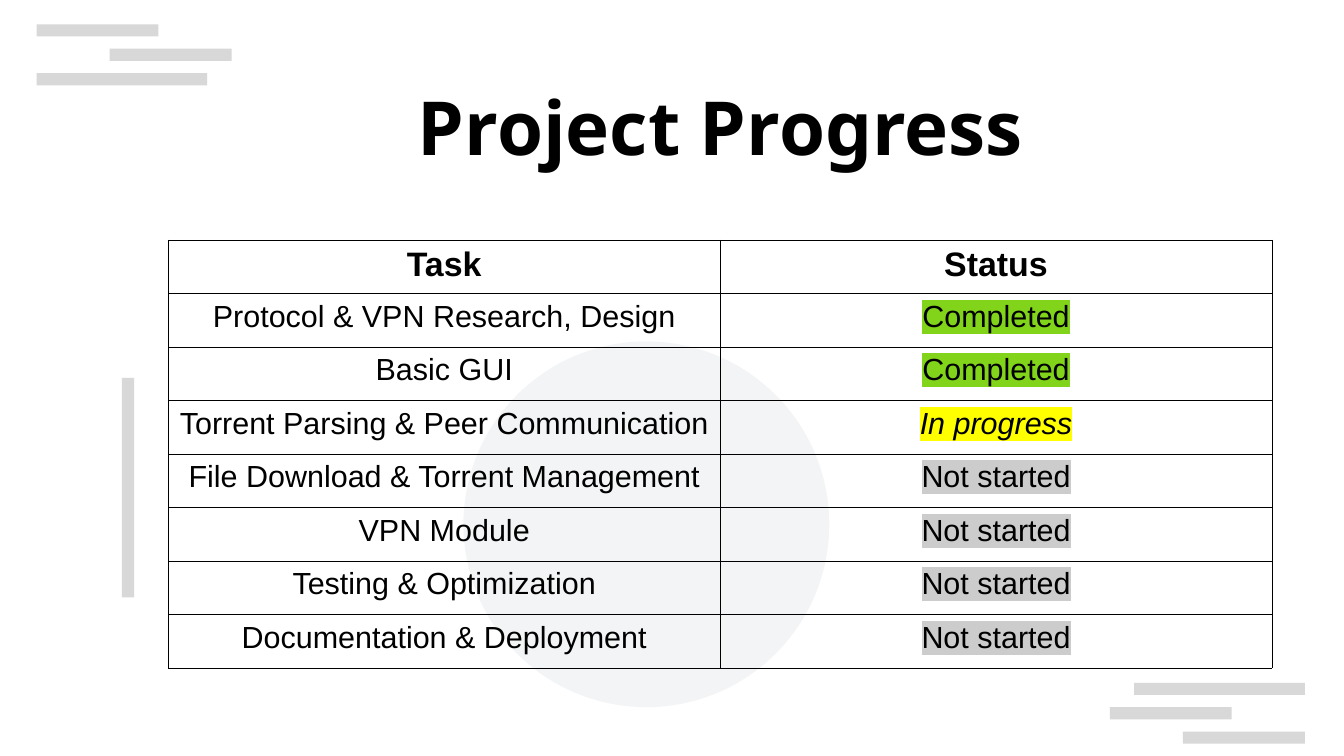
from pptx import Presentation
from pptx.dml.color import RGBColor
from pptx.enum.shapes import MSO_SHAPE
from pptx.enum.text import MSO_ANCHOR, PP_ALIGN
from pptx.oxml.ns import qn
from pptx.util import Pt
from lxml import etree

RECTANGLE, OVAL = MSO_SHAPE.RECTANGLE, MSO_SHAPE.OVAL
TOP, MIDDLE = MSO_ANCHOR.TOP, MSO_ANCHOR.MIDDLE
CENTER = PP_ALIGN.CENTER

BLACK = RGBColor(0x00, 0x00, 0x00)
GRAY = RGBColor(0xCC, 0xCC, 0xCC)
SLATE = RGBColor(0x8D, 0x99, 0xAE)
GREEN = RGBColor(0x81, 0xD4, 0x1A)
YELLOW = RGBColor(0xFF, 0xFF, 0x00)


def add_color(parent, tag, color):
    """Append a colour-bearing element and return it."""
    element = etree.SubElement(parent, qn(tag))
    etree.SubElement(element, qn("a:srgbClr"), val=str(color))
    return element


def write_text(frame, text, size=18, font="Arial", bold=False, italic=False, highlight=None):
    paragraph = frame.paragraphs[0]
    paragraph.alignment = CENTER
    run = paragraph.add_run()
    run.text = text
    run.font.size = Pt(size)
    run.font.bold = bold
    run.font.italic = italic
    run.font.color.rgb = BLACK
    run.font.name = font
    if highlight is not None:
        properties = run.font._element
        mark = add_color(properties, "a:highlight", highlight)
        properties.find(qn("a:solidFill")).addnext(mark)


presentation = Presentation()
presentation.slide_width = Pt(793.44)
presentation.slide_height = Pt(446.4)
slide = presentation.slides.add_slide(presentation.slide_layouts[6])

# Background decoration: kind, left, top, width, height, colour, opacity in percent
decorations = [
    (RECTANGLE, 669.6, 403.2, 100.8, 7.2, GRAY, 75),
    (RECTANGLE, 655.2, 417.6, 72, 7.2, GRAY, 75),
    (RECTANGLE, 698.4, 432, 72, 7.2, GRAY, 75),
    (RECTANGLE, 21.6, 14.4, 72, 7.2, GRAY, 75),
    (RECTANGLE, 64.8, 28.8, 72, 7.2, GRAY, 75),
    (RECTANGLE, 21.6, 43.2, 100.8, 7.2, GRAY, 75),
    (OVAL, 273.6, 201.6, 216, 216, SLATE, 10),
    (RECTANGLE, 72, 223.2, 7.2, 129.6, GRAY, 75),
]
for kind, left, top, width, height, color, opacity in decorations:
    shape = slide.shapes.add_shape(kind, Pt(left), Pt(top), Pt(width), Pt(height))
    shape.shadow.inherit = False
    shape.line.fill.background()
    shape.fill.solid()
    shape.fill.fore_color.rgb = color
    color_element = shape._element.spPr.find(qn("a:solidFill"))[0]
    etree.SubElement(color_element, qn("a:alpha"), val=str(opacity * 1000))

# Title
title = slide.shapes.add_textbox(Pt(99.36), Pt(36.72), Pt(652.32), Pt(74.88))
title_frame = title.text_frame
title_frame.word_wrap = True
title_frame.vertical_anchor = MIDDLE
title_frame.margin_left = title_frame.margin_right = 0
title_frame.margin_top = title_frame.margin_bottom = 0
write_text(title_frame, "Project Progress", size=44, font="Noto Sans", bold=True)

# Progress table
tasks = [
    ("Protocol & VPN Research, Design", "Completed"),
    ("Basic GUI", "Completed"),
    ("Torrent Parsing & Peer Communication", "In progress"),
    ("File Download & Torrent Management", "Not started"),
    ("VPN Module", "Not started"),
    ("Testing & Optimization", "Not started"),
    ("Documentation & Deployment", "Not started"),
]
status_colors = {"Completed": GREEN, "In progress": YELLOW, "Not started": GRAY}
rows = [("Task", "Status")] + tasks

COLUMN_WIDTH, ROW_HEIGHT = 325.8, 31.6
table = slide.shapes.add_table(
    len(rows), 2, Pt(99.36), Pt(141.84), Pt(2 * COLUMN_WIDTH), Pt(len(rows) * ROW_HEIGHT)
).table
table.first_row = False
table.horz_banding = False
for column in table.columns:
    column.width = Pt(COLUMN_WIDTH)

for row_index, row_texts in enumerate(rows):
    table.rows[row_index].height = Pt(ROW_HEIGHT)
    header = row_index == 0
    for column_index, text in enumerate(row_texts):
        cell = table.cell(row_index, column_index)
        cell.vertical_anchor = TOP
        cell.margin_left = cell.margin_right = Pt(2.88)
        cell.margin_top = cell.margin_bottom = Pt(3.6)
        write_text(
            cell.text_frame,
            text,
            size=20 if header else 18,
            bold=header,
            italic=text == "In progress",
            highlight=status_colors.get(text),
        )

        # Thin black borders, no fill
        cell_properties = cell._tc.get_or_add_tcPr()
        for side in ("a:lnL", "a:lnR", "a:lnT", "a:lnB"):
            border = etree.SubElement(cell_properties, qn(side), w=str(Pt(0.57)))
            add_color(border, "a:solidFill", BLACK)
        cell.fill.background()

presentation.save("out.pptx")
